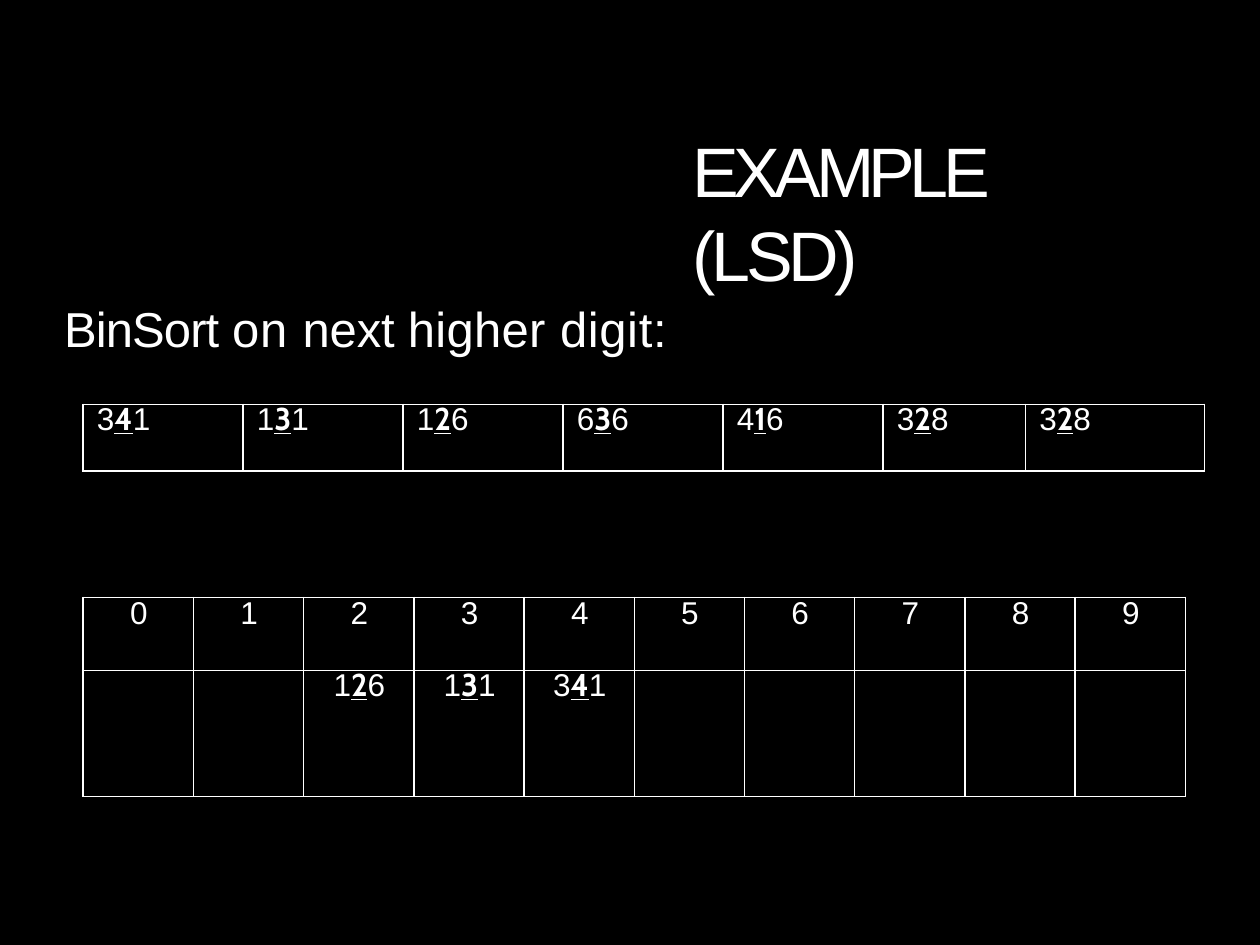
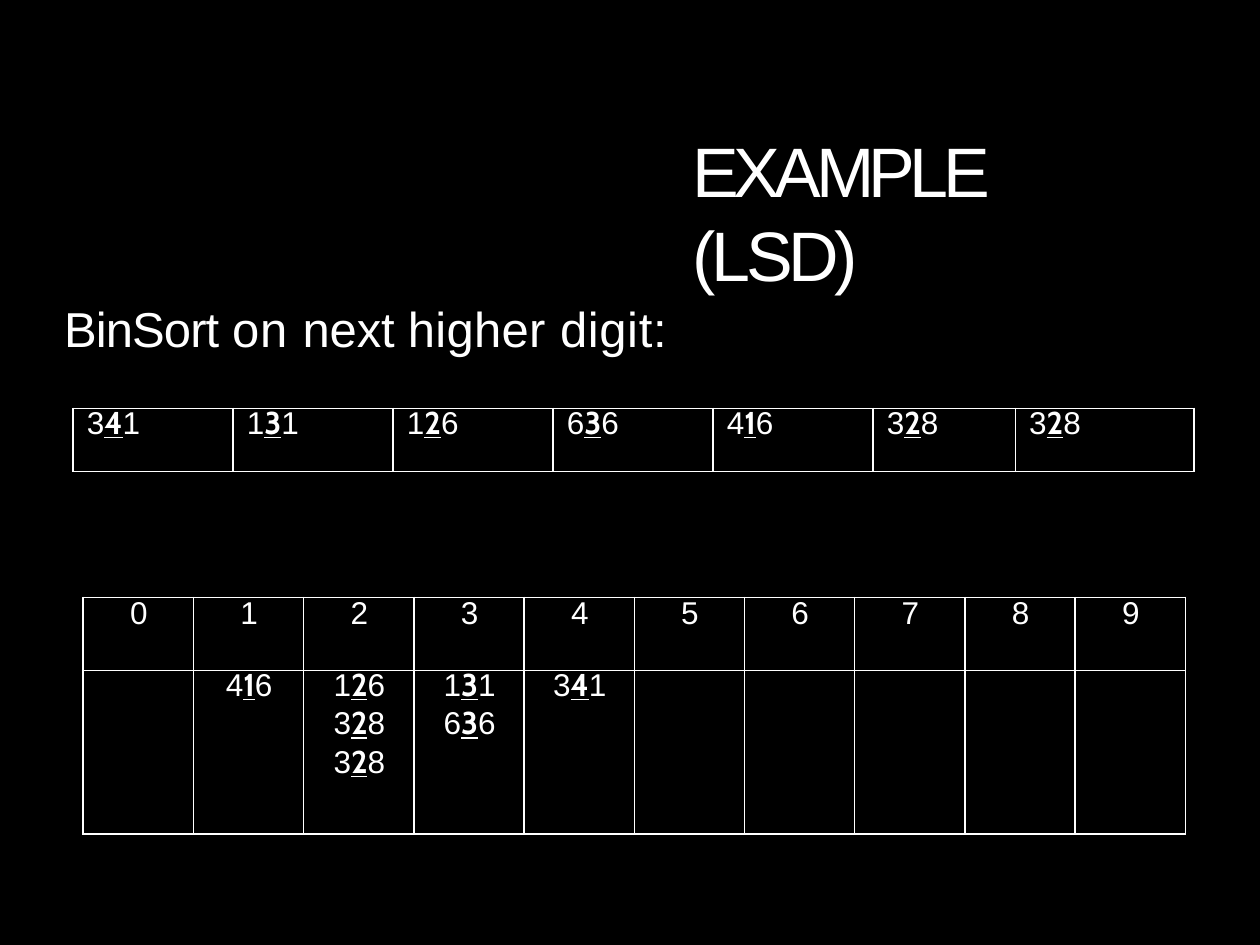
from lxml import etree
from pptx import Presentation
from pptx.dml.color import RGBColor
from pptx.enum import text as t
from pptx.oxml import ns
from pptx.util import Inches, Pt

BLACK = RGBColor(0x00, 0x00, 0x00)
WHITE = RGBColor(0xFF, 0xFF, 0xFF)
BODY_FONT = "Arial"
DIGIT_FONT = "Cabin"

TITLE = [("EXAMPLE ", -3.2), ("(LSD)", -2.5)]
SUBTITLE = [("BinSort ", -0.5), ("on ", 0.5), ("next ", -0.1), ("higher ", 0.2), ("digit:", 0.4)]
NUMBERS = ["341", "131", "126", "636", "416", "328", "328"]
NUMBER_WIDTHS = [Inches(width) for width in [1.27] * 5 + [1.13, 1.42]]
BIN_WIDTHS = [Inches(8.75) // 10] * 10
HEADER_HEIGHT = 0.58


def style_paragraph(para, size, indent):
    """Give a paragraph the shared font and a left indent in inches."""
    para.font.name = BODY_FONT
    para.font.size = Pt(size)
    para.font.color.rgb = WHITE
    para._p.get_or_add_pPr().set("marL", str(Inches(indent)))


def add_span(para, words, spacing):
    """Append a run with letter spacing in points."""
    span = para.add_run()
    span.text = words
    span._r.get_or_add_rPr().set("spc", str(round(spacing * 100)))
    return span


def add_heading(slide, left, top, width, height, spans, size, indent):
    """Add a text box whose words have their own letter spacing."""
    box = slide.shapes.add_textbox(Inches(left), Inches(top), Inches(width), Inches(height))
    frame = box.text_frame
    frame.word_wrap = True
    frame.auto_size = t.MSO_AUTO_SIZE.SHAPE_TO_FIT_TEXT
    frame.margin_left = frame.margin_right = frame.margin_bottom = 0
    frame.margin_top = Inches(0.01)
    para = frame.paragraphs[0]
    style_paragraph(para, size, indent)
    para.space_before = Pt(0.9)
    for words, spacing in spans:
        add_span(para, words, spacing)


def write_number(para, number):
    """Write a number with its middle digit emphasised."""
    for place, digit in enumerate(number):
        span = add_span(para, digit, -0.3)
        if place == 1:
            span.font.name = DIGIT_FONT
            span.font.bold = span.font.underline = True


def style_cell(cell):
    """Set white borders, a black fill and no margins."""
    cell.margin_left = cell.margin_right = cell.margin_top = cell.margin_bottom = 0
    properties = cell._tc.get_or_add_tcPr()
    for side in ("lnL", "lnR", "lnT", "lnB"):
        line = etree.SubElement(properties, ns.qn(f"a:{side}"), w=str(Pt(1)))
        fill = etree.SubElement(line, ns.qn("a:solidFill"))
        etree.SubElement(fill, ns.qn("a:srgbClr"), val=str(WHITE))
    cell.fill.solid()
    cell.fill.fore_color.rgb = BLACK


def fill_cell(cell, entries, centered):
    """Write each entry on its own line of a cell."""
    frame = cell.text_frame
    for position, entry in enumerate(entries):
        para = frame.add_paragraph() if position else frame.paragraphs[0]
        style_paragraph(para, 18, 0.01 if centered else 0.11)
        if centered:
            para.alignment = t.PP_ALIGN.CENTER
        if position == 0:
            para.line_spacing = Pt(19.2 if len(entry) == 1 else 19.4)
        if len(entry) == 1:
            para.add_run().text = entry
        else:
            write_number(para, entry)


def add_grid(slide, left, top, widths, heights, rows, centered):
    """Add a bordered table; each cell holds a list of entries."""
    frame = slide.shapes.add_table(
        len(rows), len(widths), Inches(left), Inches(top), sum(widths), Inches(sum(heights)))
    table = frame.table
    table.first_row = table.horz_banding = False
    for column, width in zip(table.columns, widths):
        column.width = width
    for row, height, contents in zip(table.rows, heights, rows):
        row.height = Inches(height)
        for cell, entries in zip(row.cells, contents):
            style_cell(cell)
            fill_cell(cell, entries, centered)


def add_sort_slide(deck, bins, bins_height, numbers_left, numbers_top, numbers_height):
    """Add a slide with the numbers and the bins filled so far."""
    slide = deck.slides.add_slide(deck.slide_layouts[6])
    slide.background.fill.solid()
    slide.background.fill.fore_color.rgb = BLACK
    add_heading(slide, 0.73, 1, 8.54, 0.69, TITLE, 40, 4.77)
    add_heading(slide, 0.5, 2.36, 4.83, 0.49, SUBTITLE, 28, 0.01)
    header = [[str(digit)] for digit in range(10)]
    contents = [bins.get(digit, []) for digit in range(10)]
    add_grid(slide, 0.66, 4.74, BIN_WIDTHS, [HEADER_HEIGHT, bins_height],
             [header, contents], True)
    add_grid(slide, numbers_left, numbers_top, NUMBER_WIDTHS, [numbers_height],
             [[[number] for number in NUMBERS]], False)


def main():
    """Build the two sorting steps and save the deck."""
    deck = Presentation()
    deck.slide_width, deck.slide_height = Inches(10), Inches(7.5)
    add_sort_slide(deck, {2: ["126"], 3: ["131"], 4: ["341"]}, 1, 0.66, 3.21, 0.53)
    add_sort_slide(
        deck, {1: ["416"], 2: ["126", "328", "328"], 3: ["131", "636"], 4: ["341"]},
        1.3, 0.58, 3.24, 0.5)
    deck.save("out.pptx")


if __name__ == "__main__":
    main()
